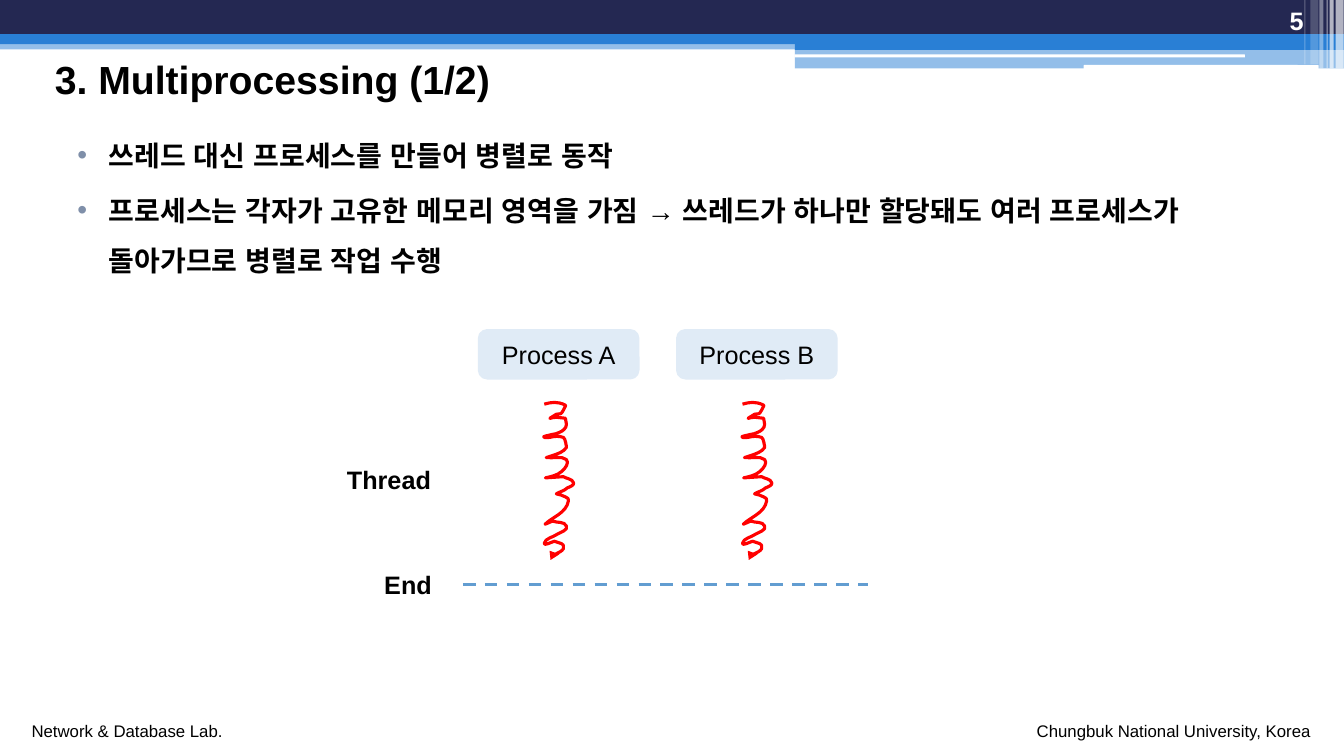
from lxml import etree
from pptx import Presentation
from pptx.dml.color import RGBColor
from pptx.enum.dml import MSO_LINE
from pptx.enum.shapes import MSO_CONNECTOR, MSO_SHAPE
from pptx.enum.text import MSO_ANCHOR, MSO_AUTO_SIZE, PP_ALIGN
from pptx.oxml.ns import qn
from pptx.util import Inches, Pt

RECT, ROUND = MSO_SHAPE.RECTANGLE, MSO_SHAPE.ROUNDED_RECTANGLE
LEFT, CENTER, RIGHT = PP_ALIGN.LEFT, PP_ALIGN.CENTER, PP_ALIGN.RIGHT
TOP, MIDDLE, BOTTOM = MSO_ANCHOR.TOP, MSO_ANCHOR.MIDDLE, MSO_ANCHOR.BOTTOM

SLIDE_W, SLIDE_H = Inches(13.333), Inches(7.5)
COIL_UNIT = SLIDE_H / 750
FONT = "Arial"
NAVY, BLUE, WHITE, BLACK = "242852", "297FD5", "FFFFFF", "000000"
PALE, DASH_BLUE, RED, BULLET = "E0EBF6", "629DD1", "FF0000", "7F8FA9"

# Places are percentages of the slide: left, top, width, height
BANDS = [  # place, colour, opacity, shape
    ((0, 5.33, 100, 1.2), BLUE, 50, RECT),
    ((0, 0, 100, 4.53), NAVY, 100, RECT),
    ((0, 4.53, 100, 1.33), BLUE, 100, RECT),
    ((59.15, 5.2, 40.85, 1.4), BLUE, 100, RECT),
    ((59.15, 6.4, 40.85, 2.65), BLUE, 50, RECT),
    ((59.1, 7.2, 33.53, 0.4), WHITE, 100, ROUND),
    ((80.63, 8.6, 17.48, 0.53), WHITE, 100, ROUND),
]
STRIPES = [  # left, width, height, opacity
    (99.38, 0.6, 9.07, 65), (98.93, 0.3, 9.07, 65), (98.7, 0.08, 9.07, 60),
    (98.18, 0.3, 9.07, 40), (97.5, 0.6, 8.53, 20), (97.05, 0.08, 8.53, 30),
]
BULLETS = [
    "쓰레드 대신 프로세스를 만들어 병렬로 동작",
    "프로세스는 각자가 고유한 메모리 영역을 가짐 → 쓰레드가 하나만 할당돼도 "
    "여러 프로세스가 돌아가므로 병렬로 작업 수행",
]
PROCESSES = ["Process A", "Process B"]
PROCESS_LEFT, PROCESS_PITCH = 35.67, 14.75
COIL_INSET, COIL_TOP = 4.75, 53.2

# Thread coil: a start point, then two handles and an end point per curve
COIL_START = (1, 2)
COIL_CURVES = [
    ((8, 0), (14, -1), (22, 3)), ((23, 4), (20, 6), (20, 8)),
    ((17, 13), (18, 11), (13, 12)), ((2, 19), (7, 15), (13, 15)),
    ((16, 15), (19, 16), (22, 16)), ((22, 18), (23, 20), (23, 22)),
    ((23, 26), (19, 29), (16, 30)), ((14, 31), (11, 32), (9, 32)),
    ((6, 33), (-2, 34), (1, 35)), ((5, 36), (9, 34), (13, 34)),
    ((15, 34), (18, 34), (20, 35)), ((22, 36), (23, 44), (23, 45)),
    ((21, 47), (20, 49), (17, 50)), ((13, 52), (3, 55), (3, 55)),
    ((10, 56), (18, 53), (23, 57)), ((26, 60), (22, 66), (18, 69)),
    ((11, 76), (-15, 76), (20, 74)), ((23, 76), (29, 76), (30, 80)),
    ((31, 82), (27, 84), (24, 85)), ((21, 88), (16, 89), (13, 91)),
    ((16, 92), (19, 92), (22, 94)), ((24, 95), (26, 96), (25, 98)),
    ((23, 110), (9, 114), (2, 121)), ((0, 122), (7, 119), (9, 118)),
    ((14, 120), (21, 118), (23, 123)), ((25, 127), (17, 129), (14, 131)),
    ((10, 134), (2, 135), (1, 140)), ((0, 143), (8, 139), (11, 138)),
    ((14, 140), (18, 139), (20, 142)), ((23, 147), (9, 152), (9, 152)),
    ((8, 154), (13, 152), (15, 151)), ((15, 151), (16, 151), (16, 151)),
]


def across(share):
    return round(SLIDE_W * share / 100)


def down(share):
    return round(SLIDE_H * share / 100)


def area(place):
    left, top, width, height = place
    return across(left), down(top), across(width), down(height)


def paint(color_format, color):
    color_format.rgb = RGBColor.from_string(color)


def stroke(line, color, width=2.25):
    line.fill.solid()
    paint(line.color, color)
    line.width = Pt(width)


def write(paragraph, text, size=18, color=BLACK, bold=False, align=LEFT):
    paragraph.alignment = align
    run = paragraph.add_run()
    run.text = text
    run.font.name, run.font.size, run.font.bold = FONT, Pt(size), bold
    paint(run.font.color, color)
    etree.SubElement(run.font._element, qn("a:ea"), typeface=FONT)


def add_block(slide, place, color, opacity=100, kind=RECT):
    block = slide.shapes.add_shape(kind, *area(place))
    block.shadow.inherit = False
    block.fill.solid()
    paint(block.fill.fore_color, color)
    block.line.fill.background()
    if opacity < 100:
        tint = block.fill._xPr.find(".//" + qn("a:srgbClr"))
        etree.SubElement(tint, qn("a:alpha"), val=str(opacity * 1000))
    return block


def add_label(slide, place, text, wrap=False, anchor=TOP, **style):
    frame = slide.shapes.add_textbox(*area(place)).text_frame
    frame.word_wrap = wrap
    frame.auto_size = MSO_AUTO_SIZE.NONE if wrap else MSO_AUTO_SIZE.SHAPE_TO_FIT_TEXT
    frame.vertical_anchor = anchor
    write(frame.paragraphs[0], text, **style)


def place_holder(holder, place, anchor):
    holder.left, holder.top, holder.width, holder.height = area(place)
    frame = holder.text_frame
    frame.auto_size = MSO_AUTO_SIZE.NONE
    frame.vertical_anchor = anchor
    return frame


def add_bullets(frame, items):
    for index, item in enumerate(items):
        paragraph = frame.add_paragraph() if index else frame.paragraphs[0]
        paragraph.line_spacing = 1.5
        paragraph.space_before = Pt(3 if index else 0)
        props = paragraph._p.get_or_add_pPr()
        props.set("marL", str(Inches(0.31)))
        props.set("indent", str(-Inches(0.31)))
        tint = etree.SubElement(props, qn("a:buClr"))
        etree.SubElement(tint, qn("a:srgbClr"), val=BULLET)
        etree.SubElement(props, qn("a:buFont"), typeface=FONT)
        etree.SubElement(props, qn("a:buChar"), char="•")
        write(paragraph, item, size=20, bold=True)


def bend(thread, ends):
    """Turn the straight segments of the thread into its curves."""
    min_x, min_y = (min(values) for values in zip(*ends))
    segments = list(thread._element.iter(qn("a:lnTo")))
    for segment, (first, second, _) in zip(segments, COIL_CURVES):
        curve = etree.Element(qn("a:cubicBezTo"))
        for x, y in (first, second):
            etree.SubElement(curve, qn("a:pt"), x=str(x - min_x), y=str(y - min_y))
        curve.append(segment[0])
        segment.getparent().replace(segment, curve)


def add_thread(slide, left, top):
    ends = [COIL_START] + [curve[-1] for curve in COIL_CURVES]
    builder = slide.shapes.build_freeform(*COIL_START, scale=COIL_UNIT)
    builder.add_line_segments(ends[1:], close=False)
    thread = builder.convert_to_shape(across(left), down(top))
    bend(thread, ends)
    thread.shadow.inherit = False
    thread.fill.background()
    stroke(thread.line, RED)
    etree.SubElement(thread.line._get_or_add_ln(), qn("a:tailEnd"), type="triangle")


def add_process(slide, left, caption):
    process = add_block(slide, (left, 43.73, 11.8, 6.27), PALE, kind=ROUND)
    stroke(process.line, PALE)
    process.text_frame.vertical_anchor = MIDDLE
    write(process.text_frame.paragraphs[0], caption, align=CENTER)


def add_end_line(slide, left, right, top):
    end_line = slide.shapes.add_connector(
        MSO_CONNECTOR.STRAIGHT, across(left), down(top), across(right), down(top))
    stroke(end_line.line, DASH_BLUE)
    end_line.line.dash_style = MSO_LINE.DASH
    etree.SubElement(end_line._element.spPr, qn("a:effectLst"))


def main():
    deck = Presentation()
    deck.slide_width, deck.slide_height = SLIDE_W, SLIDE_H
    slide = deck.slides.add_slide(deck.slide_layouts[1])

    # Header decoration and footer
    for place, color, opacity, kind in BANDS:
        add_block(slide, place, color, opacity, kind)
    for left, width, height, opacity in STRIPES:
        add_block(slide, (left, 0, width, height), WHITE, opacity)
    add_label(slide, (1.61, 94.67, 15.83, 4), "Network & Database Lab.", size=12)
    add_label(slide, (76.4, 94.67, 22.05, 4), "Chungbuk National University, Korea", size=12)
    add_label(slide, (89.4, 0, 8.33, 5.33), "5", wrap=True, anchor=BOTTOM,
              color=WHITE, bold=True, align=RIGHT)

    # Title and bullets
    heading = place_holder(slide.shapes.title, (3.33, 6.53, 92.85, 7.73), MIDDLE)
    write(heading.paragraphs[0], "3. Multiprocessing (1/2)", size=28, bold=True)
    add_bullets(place_holder(slide.placeholders[1], (5, 15.43, 90, 78), TOP), BULLETS)

    # Process diagram
    for index, caption in enumerate(PROCESSES):
        left = PROCESS_LEFT + index * PROCESS_PITCH
        add_process(slide, left, caption)
        add_thread(slide, left + COIL_INSET, COIL_TOP)
    add_end_line(slide, 34.45, 64.58, 77.33)
    add_label(slide, (27.85, 74.67, 5.1, 5.33), "End", bold=True)
    add_label(slide, (25.08, 60.75, 7.8, 5.33), "Thread", bold=True)

    deck.save("out.pptx")


if __name__ == "__main__":
    main()
